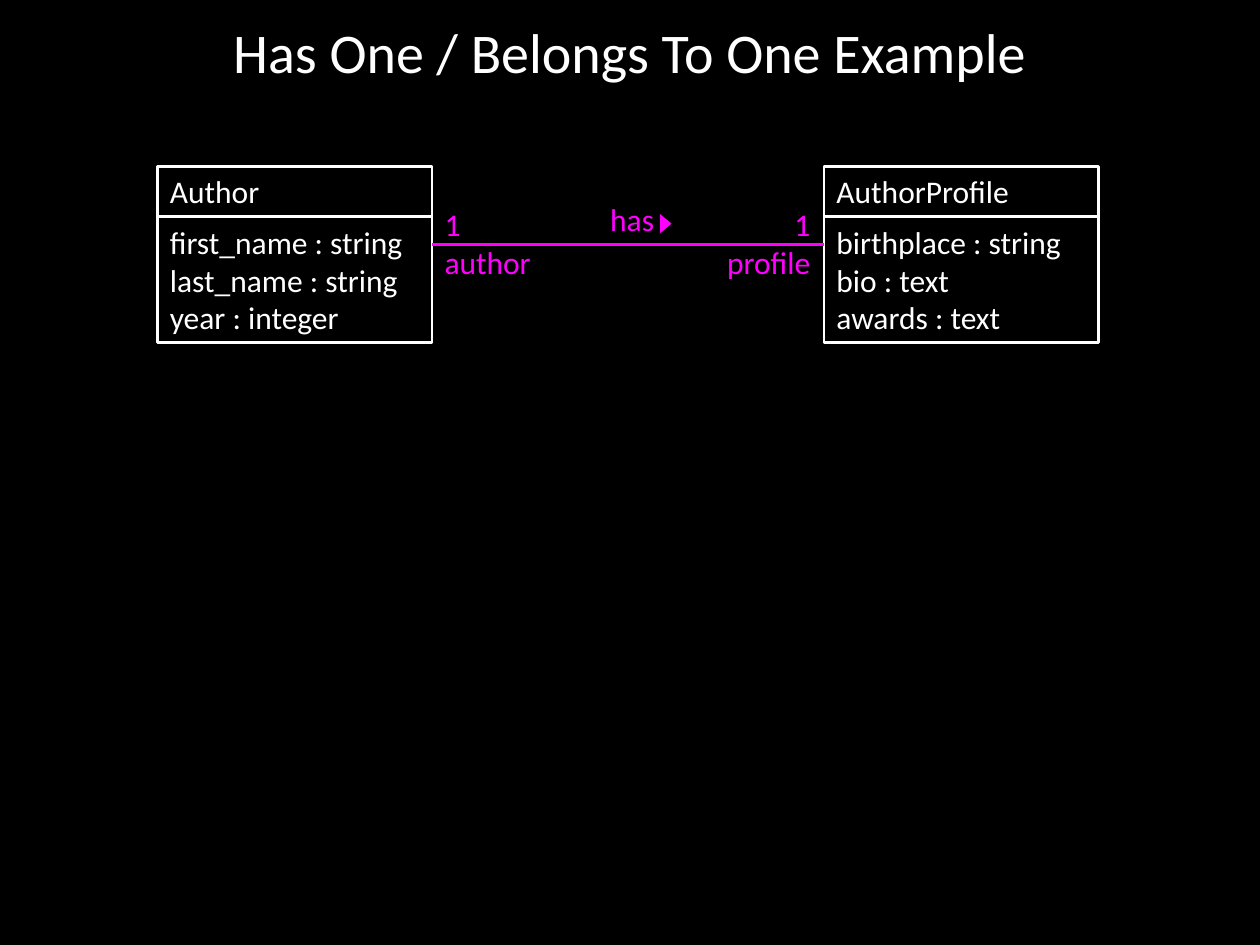
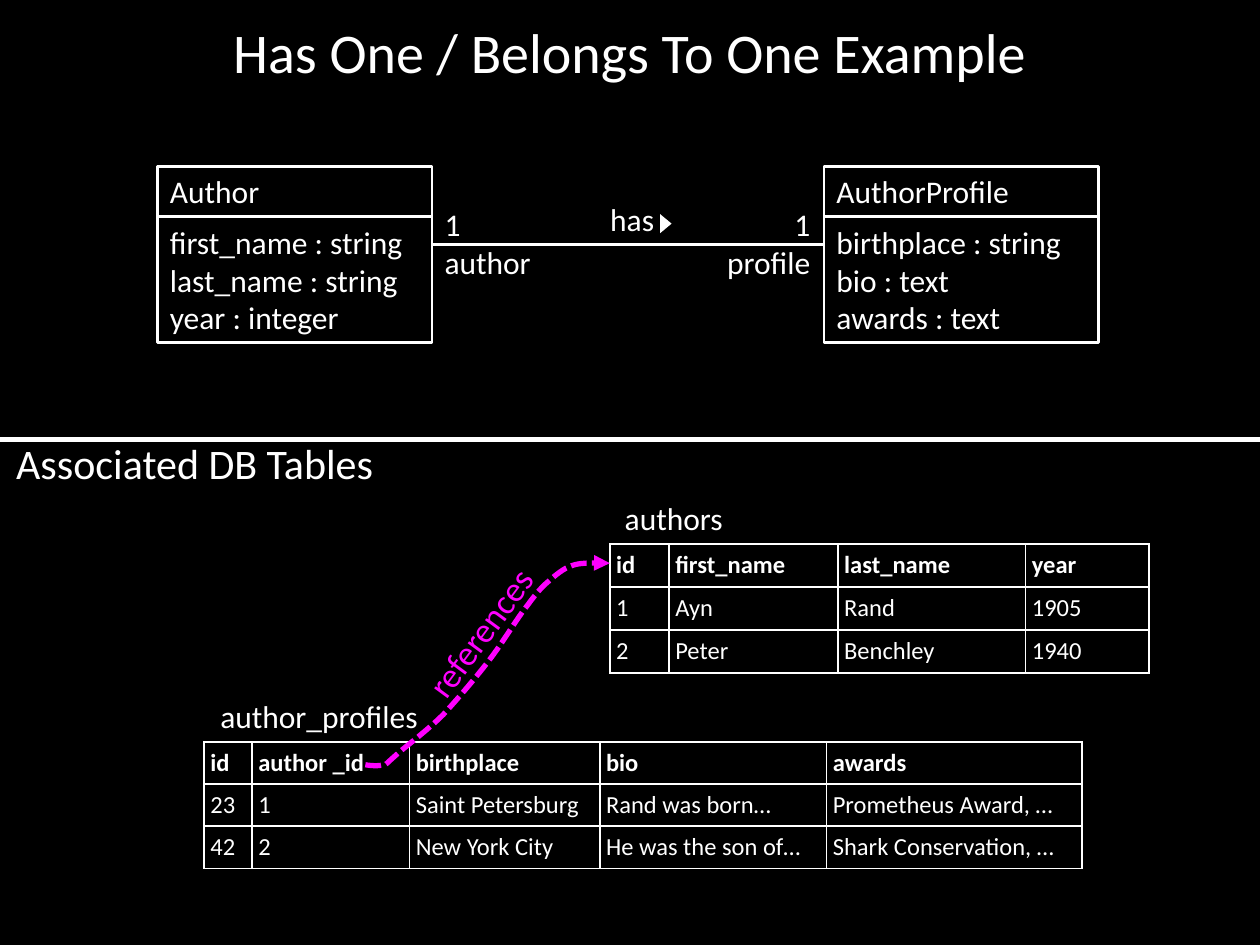
from lxml import etree
from pptx import Presentation
from pptx import util as u
from pptx.dml.color import RGBColor
from pptx.enum import dml, shapes, text
from pptx.oxml import ns

BLACK = RGBColor(0x00, 0x00, 0x00)
WHITE = RGBColor(0xFF, 0xFF, 0xFF)
MAGENTA = RGBColor(0xFF, 0x00, 0xFF)
FONT = "Calibri"
TITLE = "Has One / Belongs To One Example"
LEFT, CENTER, RIGHT = text.PP_ALIGN.LEFT, text.PP_ALIGN.CENTER, text.PP_ALIGN.RIGHT

CLASS_TOP, NAME_HEIGHT, FIELDS_HEIGHT, CLASS_WIDTH = 1.32, 0.4, 1, 2.18
AUTHOR_LEFT, PROFILE_LEFT = 1.25, 6.54
ASSOCIATION_Y = 1.94

AUTHORS = [
    ["id", "first_name", "last_name", "year"],
    ["1", "Ayn", "Rand", "1905"],
    ["2", "Peter", "Benchley", "1940"],
]
AUTHOR_PROFILES = [
    ["id", "author _id", "birthplace", "bio", "awards"],
    ["23", "1", "Saint Petersburg", "Rand was born…", "Prometheus Award, …"],
    ["42", "2", "New York City", "He was the son of…", "Shark Conservation, …"],
]
# Start point, then two control points and an end point for each curve.
REFERENCE_START = (2.9, 6.07)
REFERENCE_CURVES = [
    ((2.96, 6.08), (3.01, 6.08), (3.04, 6.07)),
    ((3.07, 6.07), (3.05, 6.07), (3.07, 6.06)),
    ((3.09, 6.04), (3.17, 5.97), (3.17, 5.97)),
    ((3.24, 5.91), (3.4, 5.79), (3.52, 5.67)),
    ((3.63, 5.55), (3.75, 5.41), (3.86, 5.27)),
    ((3.98, 5.12), (4.1, 4.91), (4.19, 4.8)),
    ((4.27, 4.69), (4.31, 4.65), (4.37, 4.6)),
    ((4.44, 4.54), (4.49, 4.5), (4.57, 4.48)),
    ((4.65, 4.46), (4.84, 4.47), (4.84, 4.47)),
]


def inches(*lengths):
    return [u.Inches(length) for length in lengths]


def apply_format(target, values):
    for name, value in values.items():
        setattr(target, name, value)


def write_lines(frame, lines, size=18, color=WHITE, align=LEFT, bold=False):
    for index, line in enumerate(lines):
        para = frame.add_paragraph() if index else frame.paragraphs[0]
        para.alignment = align
        span = para.add_run()
        span.text = line
        apply_format(span.font, {"name": FONT, "size": u.Pt(size), "bold": bold})
        span.font.color.rgb = color


def add_label(page, place, lines, wrap=False, anchor=text.MSO_ANCHOR.TOP, turn=0, **style):
    """Add text that wraps in a fixed box, or else a box that grows with its text."""
    box = page.shapes.add_textbox(*inches(*place))
    box.rotation = turn
    fit = text.MSO_AUTO_SIZE.NONE if wrap else text.MSO_AUTO_SIZE.SHAPE_TO_FIT_TEXT
    apply_format(box.text_frame,
                 {"word_wrap": wrap, "auto_size": fit, "vertical_anchor": anchor})
    write_lines(box.text_frame, lines, **style)


def add_outlined_box(page, place, lines):
    box = page.shapes.add_shape(shapes.MSO_SHAPE.RECTANGLE, *inches(*place))
    box.shadow.inherit = False
    box.fill.background()
    style_line(box.line, WHITE, 1.5)
    apply_format(box.text_frame, {"word_wrap": True, "vertical_anchor": text.MSO_ANCHOR.TOP})
    write_lines(box.text_frame, lines)


def style_line(line, color, width):
    line.color.rgb = color
    line.width = u.Pt(width)


def add_line(page, ends, color, width):
    line = page.shapes.add_connector(shapes.MSO_CONNECTOR.STRAIGHT, *inches(*ends))
    style_line(line.line, color, width)
    etree.SubElement(line._element.spPr, ns.qn("a:effectLst"))


def add_class(page, left, name, fields):
    """Draw a class: its fields below its name."""
    add_outlined_box(page, (left, CLASS_TOP + NAME_HEIGHT, CLASS_WIDTH, FIELDS_HEIGHT), fields)
    add_outlined_box(page, (left, CLASS_TOP, CLASS_WIDTH, NAME_HEIGHT), [name])


def add_association(page, color):
    """Join the two classes, with roles, multiplicities and reading direction."""
    ends = (AUTHOR_LEFT + CLASS_WIDTH, ASSOCIATION_Y, PROFILE_LEFT, ASSOCIATION_Y)
    add_line(page, ends, color, 1.5)
    add_label(page, (4.74, 1.54, 0.55, 0.4), ["has"], color=color, align=RIGHT)
    marker = page.shapes.add_shape(
        shapes.MSO_SHAPE.ISOSCELES_TRIANGLE, *inches(5.21, 1.73, 0.15, 0.09))
    marker.rotation = 90
    marker.shadow.inherit = False
    marker.fill.solid()
    marker.fill.fore_color.rgb = color
    marker.line.fill.background()
    add_label(page, (3.43, 1.58, 0.9, 0.7), ["1", "author"], color=color)
    add_label(page, (5.67, 1.58, 0.86, 0.7), ["1", "profile"], color=color, align=RIGHT)


def add_class_diagram(deck, association_color):
    """Add a page with the title and both classes."""
    page = deck.slides.add_slide(deck.slide_layouts[6])
    page.background.fill.solid()
    page.background.fill.fore_color.rgb = BLACK
    add_class(page, AUTHOR_LEFT, "Author",
              ["first_name : string", "last_name : string", "year : integer"])
    add_class(page, PROFILE_LEFT, "AuthorProfile",
              ["birthplace : string", "bio : text", "awards : text"])
    add_association(page, association_color)
    add_label(page, (0.5, 0, 9, 0.81), [TITLE], wrap=True,
              anchor=text.MSO_ANCHOR.MIDDLE, size=32, align=CENTER)
    return page


def add_cell_borders(cell):
    properties = cell._tc.get_or_add_tcPr()
    for side in ("lnL", "lnR", "lnT", "lnB"):
        border = etree.SubElement(properties, ns.qn(f"a:{side}"), w=str(u.Pt(1.08)))
        fill = etree.SubElement(border, ns.qn("a:solidFill"))
        etree.SubElement(fill, ns.qn("a:srgbClr"), val=str(WHITE))


def add_db_table(page, left, top, widths, row_height, rows):
    size = (sum(widths), row_height * len(rows))
    table = page.shapes.add_table(
        len(rows), len(widths), *inches(left, top, *size)).table
    apply_format(table, {"first_row": False, "horz_banding": False})
    for column, width in zip(table.columns, widths):
        column.width = u.Inches(width)
    margins = {f"margin_{side}": u.Inches(0.05) for side in ("left", "right", "top", "bottom")}
    for row_index, values in enumerate(rows):
        table.rows[row_index].height = u.Inches(row_height)
        for column_index, value in enumerate(values):
            cell = table.cell(row_index, column_index)
            apply_format(cell, margins)
            add_cell_borders(cell)
            cell.fill.solid()
            cell.fill.fore_color.rgb = BLACK
            write_lines(cell.text_frame, [value], size=14, bold=row_index == 0)


def curve_points(start, curves, steps=8):
    """Yield points along a chain of cubic curves."""
    for first, second, end in curves:
        for step in range(1, steps + 1):
            t = step / steps
            weights = ((1 - t) ** 3, 3 * t * (1 - t) ** 2, 3 * t * t * (1 - t), t ** 3)
            yield tuple(
                u.Inches(sum(weight * value for weight, value in zip(weights, axis)))
                for axis in zip(start, first, second, end))
        start = end


def add_reference_arrow(page):
    builder = page.shapes.build_freeform(*inches(*REFERENCE_START))
    builder.add_line_segments(curve_points(REFERENCE_START, REFERENCE_CURVES), close=False)
    arrow = builder.convert_to_shape()
    arrow.shadow.inherit = False
    arrow.fill.background()
    style_line(arrow.line, MAGENTA, 3)
    arrow.line.dash_style = dml.MSO_LINE.SQUARE_DOT
    etree.SubElement(arrow.line._get_or_add_ln(), ns.qn("a:tailEnd"), type="triangle")


def add_db_tables(page):
    add_db_table(page, 4.84, 4.32, [0.47, 1.34, 1.49, 0.98], 0.34, AUTHORS)
    add_label(page, (4.86, 3.91, 0.98, 0.4), ["authors"])
    add_db_table(page, 1.62, 5.89, [0.38, 1.25, 1.51, 1.8, 2.03], 0.33, AUTHOR_PROFILES)
    add_label(page, (1.65, 5.48, 1.77, 0.4), ["author_profiles"])
    add_label(page, (3.11, 4.8, 1.4, 0.44), ["references"],
              turn=306.4, size=20, color=MAGENTA, align=CENTER)
    add_reference_arrow(page)
    add_label(page, (0.03, 3.42, 3.06, 0.5), ["Associated DB Tables"], size=24)
    add_line(page, (0, 3.49, 10, 3.49), WHITE, 3)


def main():
    deck = Presentation()
    deck.slide_width, deck.slide_height = inches(10, 7.5)
    add_class_diagram(deck, MAGENTA)
    add_db_tables(add_class_diagram(deck, WHITE))
    deck.save("out.pptx")


if __name__ == "__main__":
    main()
